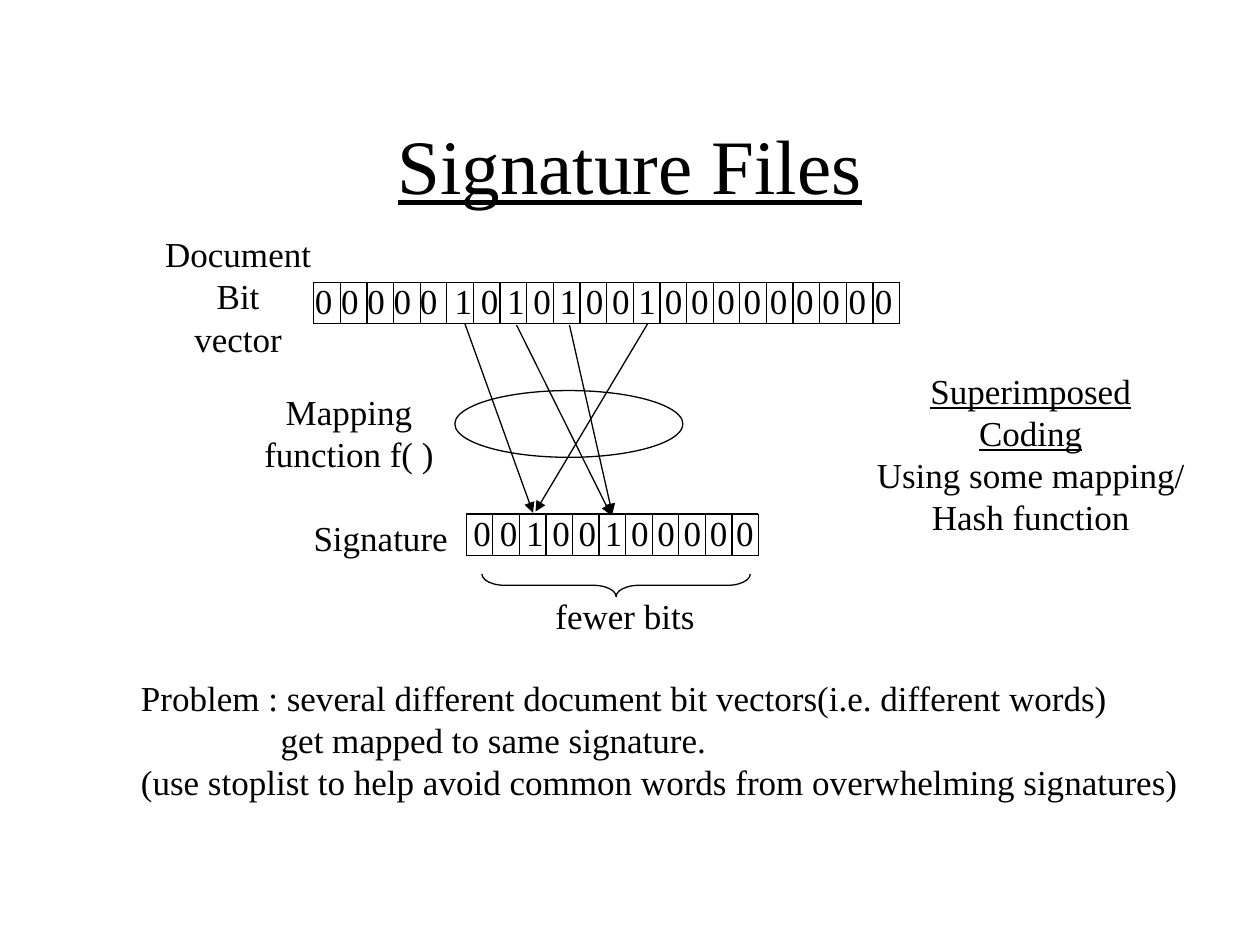
from lxml import etree
from pptx import Presentation
from pptx.dml.color import RGBColor
from pptx.enum.shapes import MSO_CONNECTOR, MSO_SHAPE
from pptx.enum.text import MSO_ANCHOR, MSO_AUTO_SIZE, PP_ALIGN
from pptx.oxml.ns import qn
from pptx.util import Inches, Pt

BLACK = RGBColor(0, 0, 0)
WHITE = RGBColor(255, 255, 255)
FONT = "Times New Roman"
LEFT, CENTER = PP_ALIGN.LEFT, PP_ALIGN.CENTER
TOP, MIDDLE = MSO_ANCHOR.TOP, MSO_ANCHOR.MIDDLE
FIXED, GROW = MSO_AUTO_SIZE.NONE, MSO_AUTO_SIZE.SHAPE_TO_FIT_TEXT
STRAIGHT = MSO_CONNECTOR.STRAIGHT
OVAL, BRACE = MSO_SHAPE.OVAL, MSO_SHAPE.LEFT_BRACE
THIN = Pt(0.75)
STEP = 1.11  # shared tab stop and indent, in inches


def add_text(slide, box, text, size=20, align=LEFT, anchor=TOP,
             under=0, indent=None, wrap=False):
    """Write one paragraph per line; the first `under` lines are underlined."""
    shape = slide.shapes.add_textbox(*map(Inches, box))
    frame = shape.text_frame
    frame.word_wrap = wrap
    frame.auto_size = FIXED if wrap else GROW
    frame.vertical_anchor = anchor
    for i, line in enumerate(text.split("\n")):
        para = frame.paragraphs[0] if i == 0 else frame.add_paragraph()
        para.alignment = align
        run = para.add_run()
        run.text = line
        font = run.font
        font.name, font.size, font.underline = FONT, Pt(size), i < under
        font.color.rgb = BLACK
        if i == indent:
            para._p.get_or_add_pPr().set("marL", str(Inches(STEP)))
    return frame


def add_line(slide, x1, y1, x2, y2, arrow=False):
    line = slide.shapes.add_connector(STRAIGHT, *map(Inches, (x1, y1, x2, y2)))
    line.line.color.rgb = BLACK
    line.line.width = THIN
    if arrow:
        etree.SubElement(line.line._get_or_add_ln(), qn("a:tailEnd"),
                         type="triangle")
    etree.SubElement(line._element.spPr, qn("a:effectLst"))


def add_shape(slide, kind, box, fill=None):
    shape = slide.shapes.add_shape(kind, *map(Inches, box))
    shape.shadow.inherit = False
    shape.line.color.rgb = BLACK
    shape.line.width = THIN
    if fill is None:
        shape.fill.background()
    else:
        shape.fill.solid()
        shape.fill.fore_color.rgb = fill
    return shape


def add_grid(slide, left, right, top, count):
    """Draw a row of equal cells."""
    base = top + 0.33
    for y in (top, base):
        add_line(slide, left, y, right, y)
    pitch = (right - left) / count
    for i in range(count + 1):
        x = left + i * pitch
        add_line(slide, x, base, x, top)


def main():
    prs = Presentation()
    prs.slide_width, prs.slide_height = Inches(10), Inches(7.5)
    slide = prs.slides.add_slide(prs.slide_layouts[6])

    # Mapping oval and title
    add_shape(slide, OVAL, (3.61, 3.1, 1.81, 0.53), WHITE)
    add_text(slide, (0.75, 0.67, 8.5, 1.25), "Signature Files", size=44,
             align=CENTER, anchor=MIDDLE, under=1, wrap=True)

    # Document bits, with a wider gap before the first 1
    add_grid(slide, 2.49, 7.14, 2.24, 22)
    bits = add_text(slide, (2.4, 2.17, 4.83, 0.44),
                    "0 0 0 0 0\t1 0 1 0 1 0 0 1 0 0 0 0 0 0 0 0 0")
    props = bits.paragraphs[0]._p.get_or_add_pPr()
    tabs = etree.SubElement(props, qn("a:tabLst"))
    etree.SubElement(tabs, qn("a:tab"), pos=str(Inches(STEP)), algn="l")

    # Signature bits
    add_grid(slide, 3.7, 6.02, 4.08, 11)
    add_text(slide, (3.66, 4.01, 2.46, 0.44), "0 0 1 0 0 1 0 0 0 0 0")

    # Problem statement
    add_text(slide, (1.02, 5.32, 8.47, 1.1),
             "Problem : several different document bit vectors"
             "(i.e. different words)\n"
             "get mapped to same signature.\n"
             "(use stoplist to help avoid common words from "
             "overwhelming signatures)", indent=1)

    # Labels
    add_text(slide, (1.19, 1.8, 1.4, 1.1), "Document\nBit\nvector",
             align=CENTER)
    add_text(slide, (2.39, 4.05, 1.3, 0.44), "Signature")
    add_text(slide, (1.98, 3.05, 1.58, 0.77), "Mapping\nfunction f( )",
             align=CENTER)
    add_text(slide, (6.84, 2.88, 2.68, 1.44),
             "Superimposed\nCoding\nUsing some mapping/\nHash function",
             align=CENTER, under=2)

    # Arrows from set document bits to signature bits
    for ends in ((3.69, 2.57, 4.23, 4.07), (4.1, 2.58, 4.85, 4.09),
                 (5.14, 2.57, 4.25, 4.06), (4.52, 2.58, 4.86, 4.08)):
        add_line(slide, *ends, arrow=True)

    # Brace under the signature
    add_text(slide, (4.31, 4.67, 1.34, 0.44), "fewer bits")
    brace = add_shape(slide, BRACE, (4.8, 3.58, 0.18, 2.13))
    brace.rotation = 270
    brace.adjustments[0] = 1

    prs.save("out.pptx")


if __name__ == "__main__":
    main()
